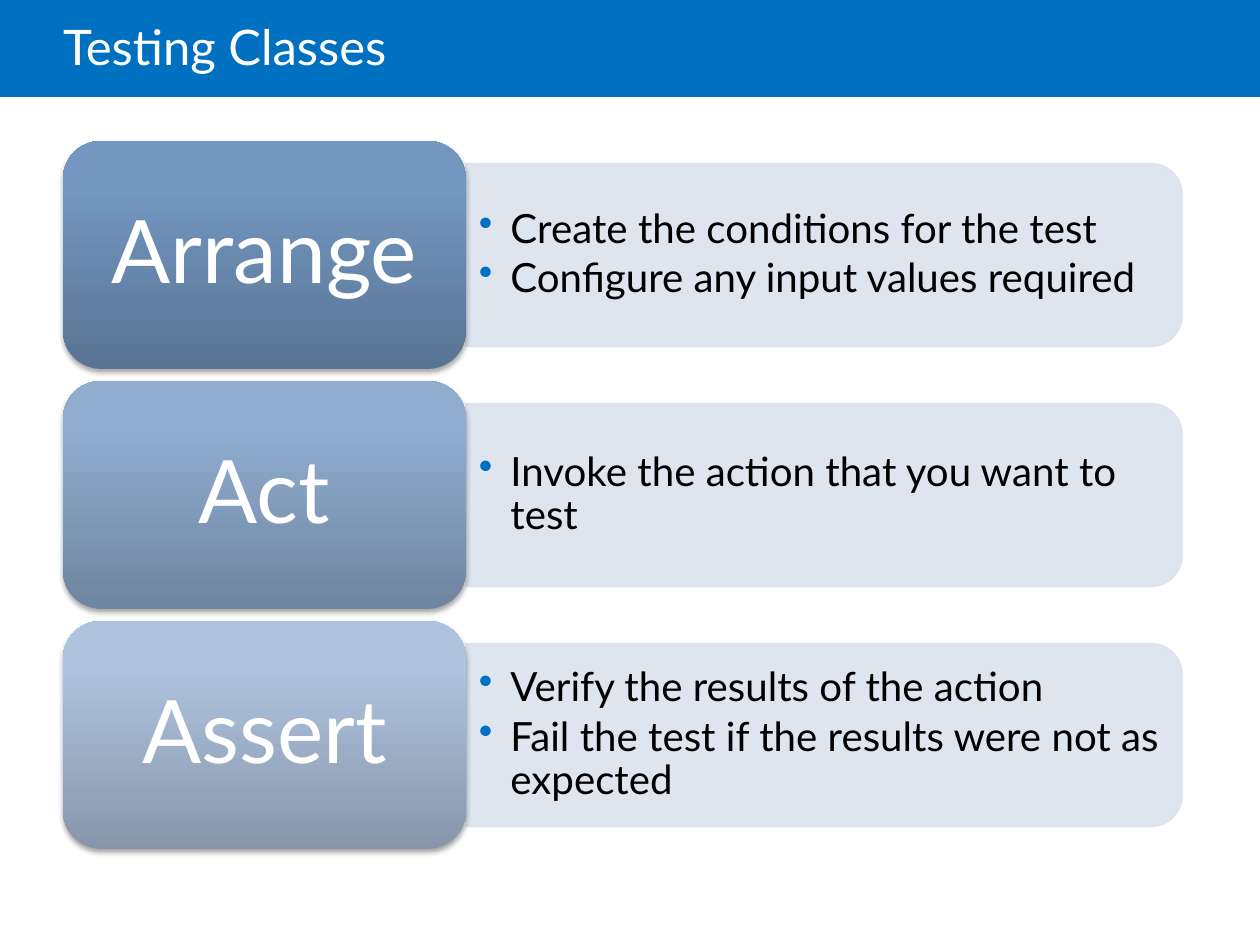
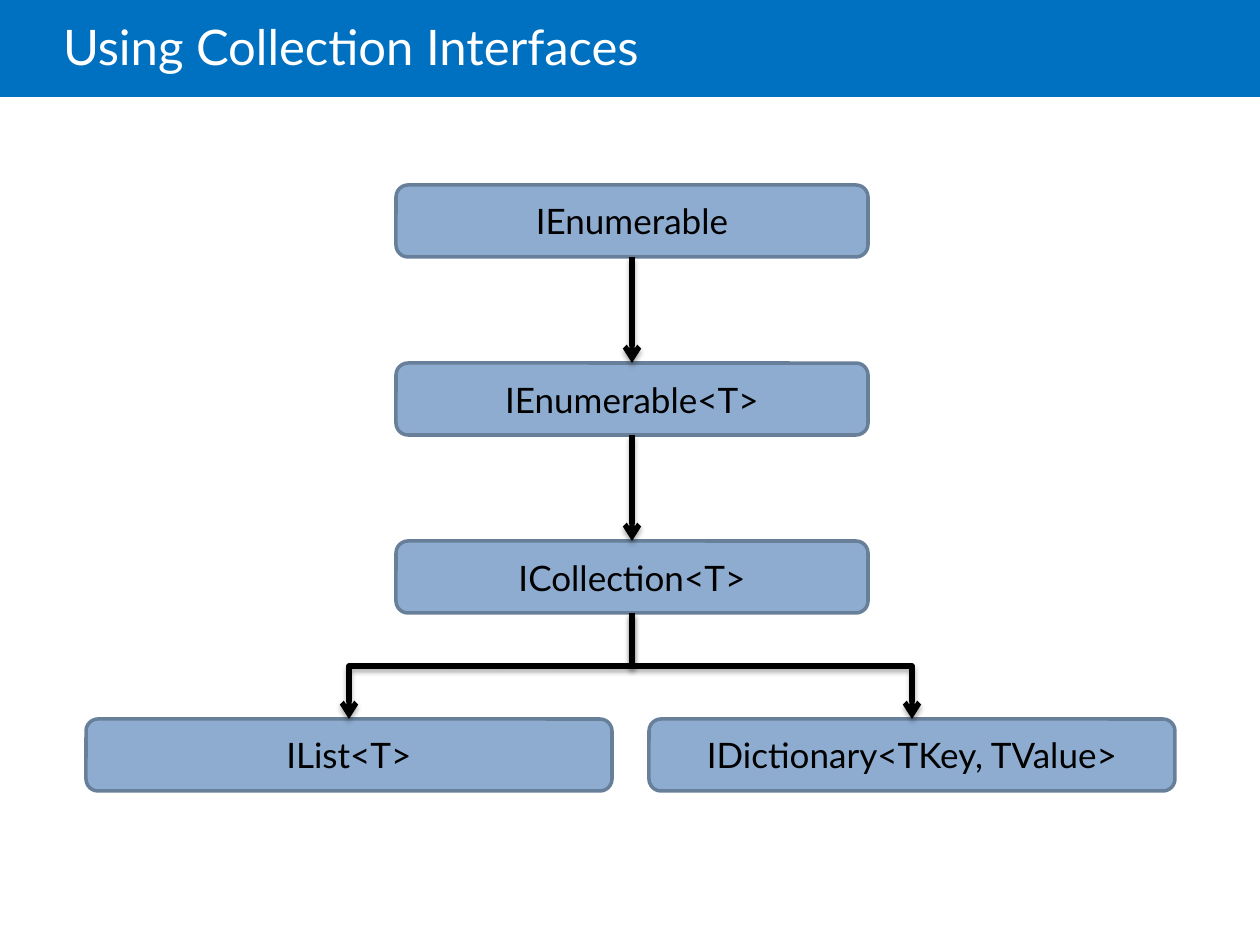
from copy import deepcopy
from dataclasses import dataclass

from lxml import etree
from pptx import Presentation
from pptx import util as u
from pptx.dml.color import RGBColor
from pptx.enum import shapes, text
from pptx.oxml.ns import qn

# Content
STAGES = [
    ("Arrange", ("597494", "7397C0", "7297C2"),
     ["Create the conditions for the test", "Configure any input values required"]),
    ("Act", ("6F85A0", "90ADD0", "8FADD2"),
     ["Invoke the action that you want to test"]),
    ("Assert", ("8796AB", "AFC3DE", "AFC4E0"),
     ["Verify the results of the action",
      "Fail the test if the results were not as expected"]),
]
INTERFACE_CHAIN = ["IEnumerable", "IEnumerable<T>", "ICollection<T>"]
INTERFACE_LEAVES = ["IList<T>", "IDictionary<TKey, TValue>"]


@dataclass(frozen=True)
class Theme:
    font: str = "Lato"
    band: str = "0070C0"
    light: str = "FFFFFF"
    dark: str = "000000"
    panel: str = "DBE3EE"
    box: str = "8DACD0"
    box_edge: str = "687F9A"
    title_size: int = 28
    stage_size: int = 50
    step_size: int = 23
    box_size: int = 20


THEME = Theme()
PX_PER_INCH = 126
SLIDE_W, SLIDE_H = 1260, 945
MARGIN = 63


def px(length):
    return u.Emu(round(length * 914400 / PX_PER_INCH))


def rgb(code):
    return RGBColor.from_string(code)


# Shared helpers
def add_xml(parent, tag, **attributes):
    return etree.SubElement(parent, qn(tag), attributes)


def style(paragraph, size, color, spacing=1.0, align=text.PP_ALIGN.LEFT):
    paragraph.alignment = align
    paragraph.line_spacing = spacing
    font = paragraph.font
    font.name, font.size, font.color.rgb = THEME.font, u.Pt(size), rgb(color)


def set_frame(frame, side, edge):
    frame.word_wrap = True
    frame.auto_size = text.MSO_AUTO_SIZE.NONE
    frame.vertical_anchor = text.MSO_ANCHOR.MIDDLE
    frame.margin_left = frame.margin_right = px(side)
    frame.margin_top = frame.margin_bottom = px(edge)


def add_shape(slide, kind, x, y, w, h, fill=None, line=None, weight=1):
    shape = slide.shapes.add_shape(kind, px(x), px(y), px(w), px(h))
    shape.shadow.inherit = False
    if fill:
        shape.fill.solid()
        shape.fill.fore_color.rgb = rgb(fill)
    if line:
        shape.line.color.rgb = rgb(line)
        shape.line.width = u.Pt(weight)
    else:
        shape.line.fill.background()
    return shape


def cast_shadow(shape):
    properties = shape.element.spPr
    effects = properties.find(qn("a:effectLst"))
    if effects is None:
        effects = add_xml(properties, "a:effectLst")
    shadow = add_xml(effects, "a:outerShdw", blurRad=str(u.Pt(3.1)),
                     dist=str(u.Pt(1.8)), dir="5400000", rotWithShape="0")
    color = add_xml(shadow, "a:srgbClr", val=THEME.dark)
    add_xml(color, "a:alpha", val="35000")


def add_band(prs, layout, slide):
    band = add_shape(slide, shapes.MSO_SHAPE.RECTANGLE, 0, 0, SLIDE_W, 97, THEME.band)
    layout.shapes.element.insert(2, band.element)


def add_slide(prs, heading):
    slide = prs.slides.add_slide(prs.slide_layouts[5])
    title = slide.shapes.title
    title.left, title.top, title.width, title.height = px(MARGIN), 0, px(1071), px(102)
    title.text = heading
    set_frame(title.text_frame, 13, 6)
    title.text_frame.margin_left = 0
    style(title.text_frame.paragraphs[0], THEME.title_size, THEME.light, 0.85)
    return slide


# Testing stages
def add_panel(slide, x, y, w, h):
    # The shape is rounded at its top, so it is laid out upright and turned right
    panel = add_shape(slide, shapes.MSO_SHAPE.ROUND_2_SAME_RECTANGLE,
                      x + (w - h) / 2, y + (h - w) / 2, h, w,
                      THEME.panel, THEME.panel, 0.75)
    panel.rotation = 90
    for color in panel.element.spPr.iter(qn("a:srgbClr")):
        add_xml(color, "a:alpha", val="90000")


def add_steps(slide, steps, x, y, w, h):
    frame = slide.shapes.add_textbox(px(x), px(y), px(w), px(h)).text_frame
    set_frame(frame, 13, 6)
    frame.text = "\n".join(steps)
    for paragraph in frame.paragraphs:
        indent = u.Inches(0.25)
        bullet = paragraph._p.get_or_add_pPr()
        bullet.set("marL", str(indent))
        bullet.set("indent", str(-indent))
        add_xml(add_xml(bullet, "a:buClr"), "a:srgbClr", val=THEME.band)
        add_xml(bullet, "a:buChar", char="•")
        style(paragraph, THEME.step_size, THEME.dark, 0.9)
        paragraph.space_after = u.Pt(3.5)


def add_stage(slide, name, colors, x, y, w, h):
    stage = add_shape(slide, shapes.MSO_SHAPE.ROUNDED_RECTANGLE, x, y, w, h)
    stage.fill.gradient()
    stop_list = stage.element.spPr.find(".//" + qn("a:gsLst"))
    stop_list.append(deepcopy(stop_list[-1]))
    for stop, color, position in zip(stage.fill.gradient_stops, colors, (0, 0.8, 1)):
        stop.color.rgb, stop.position = rgb(color), position
    stage.fill.gradient_angle = 90
    cast_shadow(stage)
    stage.text_frame.text = name
    set_frame(stage.text_frame, 26, 13)
    style(stage.text_frame.paragraphs[0], THEME.stage_size, THEME.light, 0.9,
          text.PP_ALIGN.CENTER)


def build_stages(slide):
    top, pitch, stage_w, stage_h = 141, 240, 403, 228
    panel_x, panel_w, panel_h = MARGIN + stage_w, 716, 183
    for row, (name, colors, steps) in enumerate(STAGES):
        y = top + row * pitch
        panel_y = y + (stage_h - panel_h) / 2
        add_panel(slide, panel_x, panel_y, panel_w, panel_h)
        add_steps(slide, steps, panel_x, panel_y + 9, panel_w - 9, panel_h - 18)
        add_stage(slide, name, colors, MARGIN, y, stage_w, stage_h)


# Interface tree
def add_interface(slide, name, x, y, w, h):
    box = add_shape(slide, shapes.MSO_SHAPE.ROUNDED_RECTANGLE, x, y, w, h,
                    THEME.box, THEME.box_edge, 2)
    box.text_frame.text = name
    set_frame(box.text_frame, 25, 6)
    style(box.text_frame.paragraphs[0], THEME.box_size, THEME.dark,
          align=text.PP_ALIGN.CENTER)
    return box


def finish_arrow(arrow):
    arrow.line.color.rgb = rgb(THEME.dark)
    arrow.line.width = u.Pt(3)
    add_xml(arrow.line._get_or_add_ln(), "a:tailEnd", type="arrow")
    cast_shadow(arrow)


def add_straight_arrow(slide, parent, child):
    arrow = slide.shapes.add_connector(shapes.MSO_CONNECTOR.STRAIGHT, 0, 0, 0, 0)
    arrow.begin_connect(parent, 2)
    arrow.end_connect(child, 0)
    finish_arrow(arrow)


def add_branch_arrow(slide, parent, child):
    # A bent connector leaves sideways, so it is laid out turned by a quarter
    x1, y1 = parent.left + parent.width // 2, parent.top + parent.height
    x2, y2 = child.left + child.width // 2, child.top
    drop, spread = y2 - y1, abs(x2 - x1)
    left, top = (x1 + x2 - drop) // 2, (y1 + y2 - spread) // 2
    start, end, turn = left, left + drop, 90
    if x2 > x1:
        start, end, turn = end, start, 270
    arrow = slide.shapes.add_connector(shapes.MSO_CONNECTOR.ELBOW,
                                       start, top, end, top + spread)
    arrow.element.spPr.find(qn("a:xfrm")).set("rot", str(turn * 60000))
    finish_arrow(arrow)


def build_interfaces(slide):
    top, pitch, box_h = 185, 178, 72
    chain_x, chain_w = 396, 472
    leaf_x, leaf_w, leaf_pitch = 86, 526, 563
    chain = [add_interface(slide, name, chain_x, top + row * pitch, chain_w, box_h)
             for row, name in enumerate(INTERFACE_CHAIN)]
    leaf_y = top + len(chain) * pitch
    leaves = [add_interface(slide, name, leaf_x + column * leaf_pitch, leaf_y, leaf_w, box_h)
              for column, name in enumerate(INTERFACE_LEAVES)]
    for parent, child in zip(chain, chain[1:]):
        add_straight_arrow(slide, parent, child)
    for leaf in leaves:
        add_branch_arrow(slide, chain[-1], leaf)


def main():
    prs = Presentation()
    prs.slide_width, prs.slide_height = px(SLIDE_W), px(SLIDE_H)
    testing = add_slide(prs, "Testing Classes")
    add_band(prs, testing.slide_layout, testing)
    build_stages(testing)
    build_interfaces(add_slide(prs, "Using Collection Interfaces"))
    prs.save("out.pptx")


if __name__ == "__main__":
    main()
